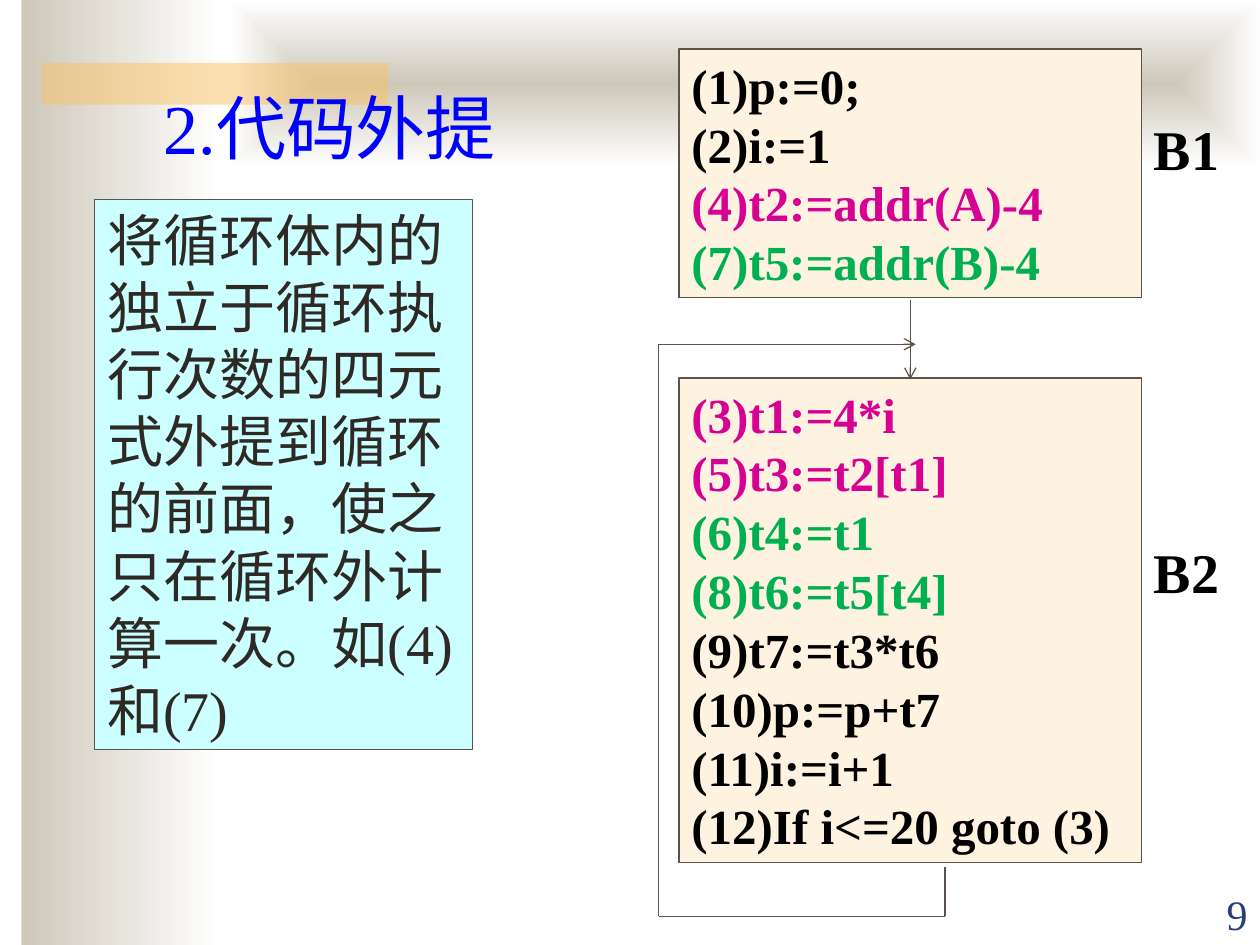
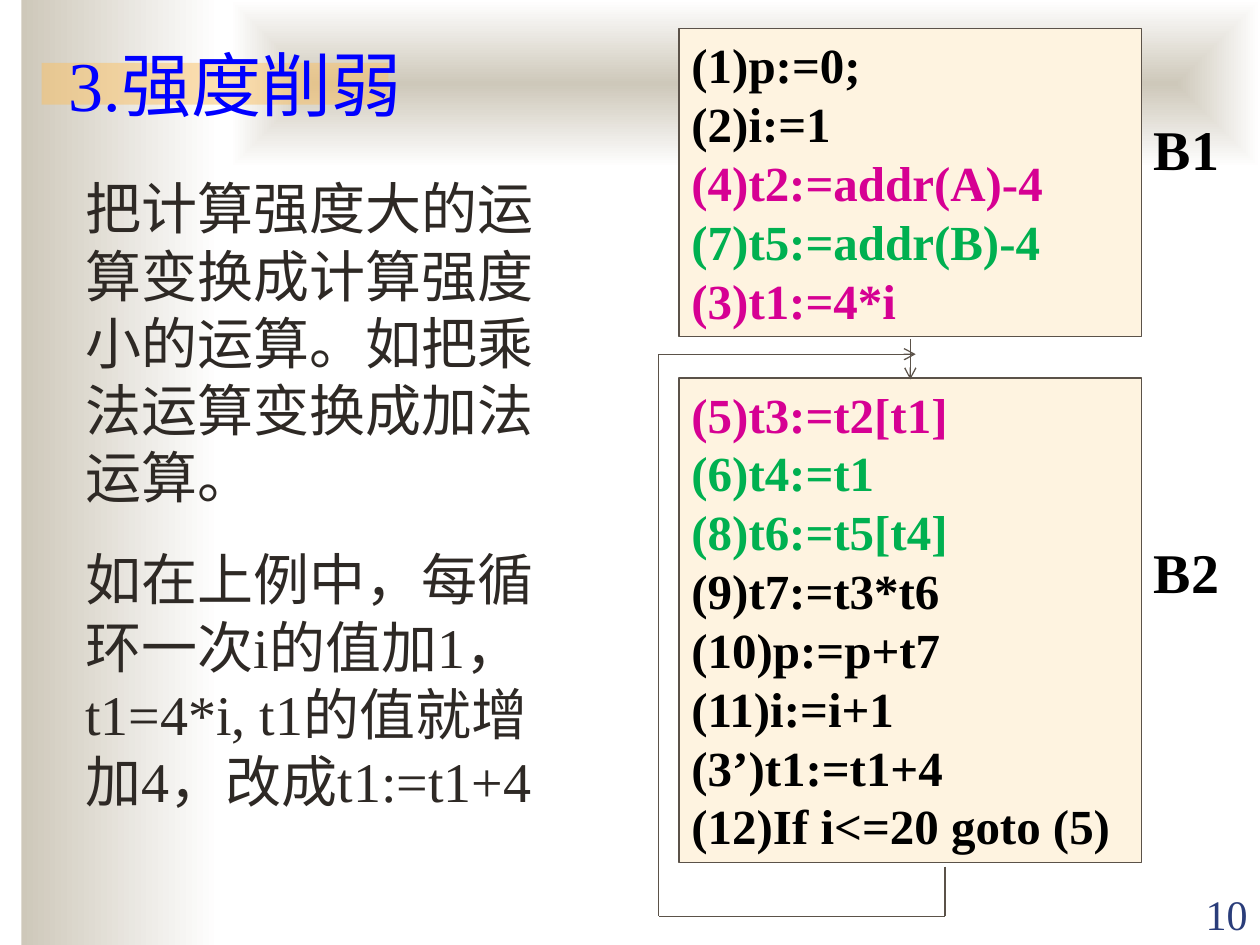
from lxml.etree import SubElement
from pptx import Presentation
from pptx.dml.color import RGBColor
from pptx.enum.shapes import MSO_CONNECTOR, MSO_SHAPE
from pptx.enum.text import MSO_ANCHOR, PP_ALIGN
from pptx.oxml.ns import qn
from pptx.util import Cm, Pt

COLOURS = {
    "sand": "CEC8BA", "white": "FFFFFF", "orange": "FAC164",
    "title": "0000FF", "body": "2E2925", "number": "2A3D7A",
    "outline": "5B5249", "cyan": "CCFFFF", "cream": "FEF3E0",
    "black": "000000", "pink": "D60093", "green": "00B050",
}
FONT = "Times New Roman"

# Statements of array A are pink, those of array B green
STATEMENT_COLOURS = {
    "(3": "pink", "(4": "pink", "(5": "pink",
    "(6": "green", "(7": "green", "(8": "green",
}

# Geometry of the flow graph, in centimetres
BLOCK_LEFT, BLOCK_WIDTH = 13.69, 9.32
LOOP_BLOCK_TOP = 7.62
LOOP_LEFT, LOOP_BOTTOM = 13.28, 18.47
ENTRY_X, EXIT_X = 18.35, 19.05


def colour(name):
    return RGBColor.from_string(COLOURS[name])


class LectureDeck:
    def __init__(self):
        self.presentation = Presentation()
        self.presentation.slide_width = Cm(25.4)
        self.presentation.slide_height = Cm(19.05)
        self.slide = None

    def new_slide(self, number):
        self.slide = self.presentation.slides.add_slide(self.presentation.slide_layouts[6])
        # Background bands
        self.gradient(self.rectangle(0.43, 0, 4.01, 19.05))
        self.gradient(self.rectangle(4.65, 0, 20.75, 3.38), from_centre=True)
        accent = self.rectangle(0.84, 1.27, 6.99, 0.84, "orange")
        fill_colour = accent._element.spPr.find(qn("a:solidFill"))[0]
        SubElement(fill_colour, qn("a:alpha"), val="50000")
        # Page number
        box = self.text(22.86, 17.78, 2.54, 1.27, [number], 24, "number")
        box.text_frame.vertical_anchor = MSO_ANCHOR.BOTTOM
        box.text_frame.paragraphs[0].alignment = PP_ALIGN.RIGHT

    def rectangle(self, left, top, width, height, fill=None, line_width=None):
        shape = self.slide.shapes.add_shape(
            MSO_SHAPE.RECTANGLE, Cm(left), Cm(top), Cm(width), Cm(height))
        shape.shadow.inherit = False
        if fill:
            shape.fill.solid()
            shape.fill.fore_color.rgb = colour(fill)
        if line_width:
            shape.line.color.rgb = colour("outline")
            shape.line.width = Pt(line_width)
        else:
            shape.line.fill.background()
        return shape

    def gradient(self, shape, from_centre=False):
        shape.fill.gradient()
        shape.fill.gradient_angle = 0
        for stop, name in zip(shape.fill.gradient_stops, ("sand", "white")):
            stop.color.rgb = colour(name)
        if from_centre:
            gradient = shape._element.spPr.find(qn("a:gradFill"))
            gradient.remove(gradient.find(qn("a:lin")))
            centre = SubElement(gradient, qn("a:path"), {"path": "rect"})
            SubElement(centre, qn("a:fillToRect"), l="50000", t="50000", r="50000", b="50000")

    def fill_text(self, shape, paragraphs, size, colour_name, bold=False, gap=0):
        frame = shape.text_frame
        frame.word_wrap = True
        frame.vertical_anchor = MSO_ANCHOR.TOP
        frame.text = "\n".join(paragraphs)
        for index, paragraph in enumerate(frame.paragraphs):
            paragraph.alignment = PP_ALIGN.LEFT
            if index and gap:
                paragraph.space_before = Pt(gap)
            for run in paragraph.runs:
                run.font.name = FONT
                run.font.size = Pt(size)
                run.font.bold = bold
                run.font.color.rgb = colour(colour_name)

    def text(self, left, top, width, height, paragraphs, size, colour_name, bold=False, gap=0):
        box = self.slide.shapes.add_textbox(Cm(left), Cm(top), Cm(width), Cm(height))
        self.fill_text(box, paragraphs, size, colour_name, bold, gap)
        return box

    def title(self, left, top, title):
        box = self.text(left, top, 7.54, 1.96, [title], 40, "title")
        box.text_frame.word_wrap = False

    def code_block(self, top, statements):
        height = 1.19 * len(statements) + 0.25
        block = self.rectangle(BLOCK_LEFT, top, BLOCK_WIDTH, height, "cream", 0.75)
        self.fill_text(block, statements, 28, "black", bold=True)
        for paragraph, statement in zip(block.text_frame.paragraphs, statements):
            label = statement.split(")")[0]
            name = STATEMENT_COLOURS.get(label, "black")
            paragraph.runs[0].font.color.rgb = colour(name)
        return top + height

    def line(self, start, end, arrow=False):
        connector = self.slide.shapes.add_connector(
            MSO_CONNECTOR.STRAIGHT, *(Cm(value) for value in start + end))
        connector.line.color.rgb = colour("outline")
        connector.line.width = Pt(0.75)
        if arrow:
            SubElement(connector.line._get_or_add_ln(), qn("a:tailEnd"), type="arrow")
        SubElement(connector._element.spPr, qn("a:effectLst"))

    def flow_graph(self, entry_top, entry_code, loop_code, loop_y):
        entry_bottom = self.code_block(entry_top, entry_code)
        loop_bottom = self.code_block(LOOP_BLOCK_TOP, loop_code)
        # Back edge of the loop
        corners = [(EXIT_X, loop_bottom + 0.08), (EXIT_X, LOOP_BOTTOM),
                   (LOOP_LEFT, LOOP_BOTTOM), (LOOP_LEFT, loop_y), (ENTRY_X + 0.11, loop_y)]
        for start, end in zip(corners, corners[1:]):
            self.line(start, end, arrow=end == corners[-1])
        # Block names
        for top, name in ((2.18, "B1"), (10.72, "B2")):
            self.text(23.01, top, 2.39, 1.63, [name], 32, "black", bold=True)
        # Edge from B1 to B2
        self.line((ENTRY_X, entry_bottom + 0.05), (ENTRY_X, LOOP_BLOCK_TOP + 0.03), arrow=True)


def main():
    deck = LectureDeck()
    entry_code = ["(1)p:=0;", "(2)i:=1", "(4)t2:=addr(A)-4", "(7)t5:=addr(B)-4"]
    loop_code = ["(5)t3:=t2[t1]", "(6)t4:=t1", "(8)t6:=t5[t4]",
                 "(9)t7:=t3*t6", "(10)p:=p+t7", "(11)i:=i+1"]
    moved = "(3)t1:=4*i"

    # Slide 1: code motion
    deck.new_slide("9")
    note = deck.rectangle(1.91, 4.01, 7.62, 11.1, "cyan", 0.25)
    deck.fill_text(note, ["将循环体内的独立于循环执行次数的四元式外提到循环的前面，"
                          "使之只在循环外计算一次。如(4)和(7)"], 32, "body")
    deck.title(3.05, 1.57, "2.代码外提")
    deck.flow_graph(0.99, entry_code, [moved, *loop_code, "(12)If i<=20 goto (3)"], 6.94)

    # Slide 2: strength reduction
    deck.new_slide("10")
    deck.text(1.47, 3.38, 9.83, 14.6, [
        "把计算强度大的运算变换成计算强度小的运算。如把乘法运算变换成加法运算。",
        "如在上例中，每循环一次i的值加1，t1=4*i, t1的值就增加4，改成t1:=t1+4",
    ], 32, "body", gap=20)
    deck.title(1.14, 0.71, "3.强度削弱")
    deck.flow_graph(0.58, [*entry_code, moved],
                    [*loop_code, "(3’)t1:=t1+4", "(12)If i<=20 goto (5)"], 7.14)

    deck.presentation.save("out.pptx")


if __name__ == "__main__":
    main()
